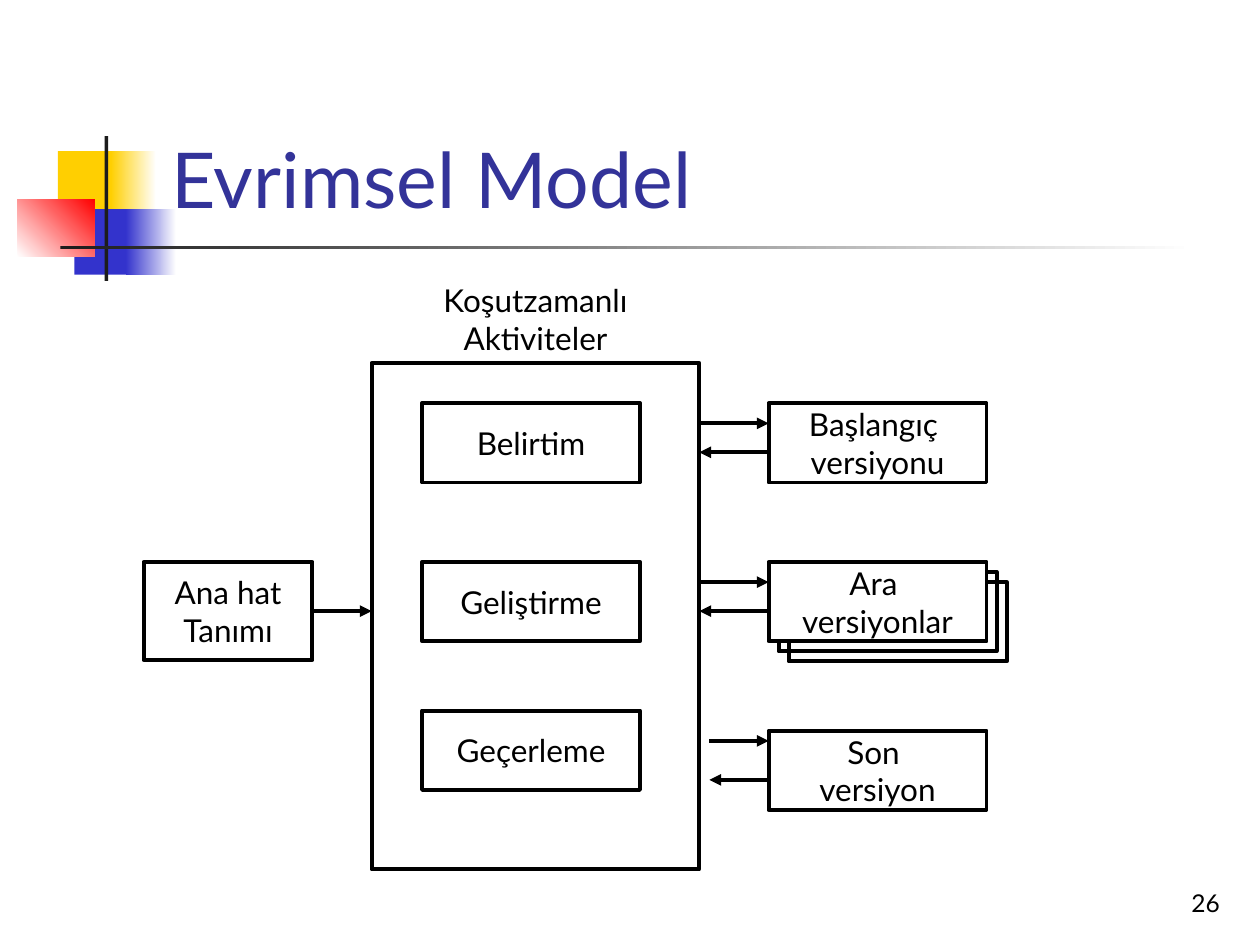
import pptx
import pptx.util
import pptx.dml.color
import pptx.enum.shapes
import pptx.enum.text
import pptx.oxml

Inches = pptx.util.Inches
Pt = pptx.util.Pt
RGB = pptx.dml.color.RGBColor.from_string
ALIGN = pptx.enum.text.PP_ALIGN
ANCHOR = pptx.enum.text.MSO_ANCHOR
DRAWING = 'xmlns:a="http://schemas.openxmlformats.org/drawingml/2006/main"'

theme = {
    "font": "Lato",
    "ink": "000000", "paper": "FFFFFF", "title": "333399",
    "yellow": "FFCF01", "blue": "3333CC", "red": "FF0000", "bar": "1C1C1C",
    "title_size": 44, "body_size": 18, "number_size": 14, "line": 2.25,
}


def add_box(place, colors=(), angle=0, outlined=False):
    box = page.shapes.add_shape(
        pptx.enum.shapes.MSO_SHAPE.RECTANGLE, *[Inches(value) for value in place])
    box.shadow.inherit = False
    if len(colors) == 2:
        box.fill.gradient()
        box.fill.gradient_angle = angle
        for stop, color, position in zip(box.fill.gradient_stops, colors, (0, 1)):
            stop.color.rgb = RGB(theme[color])
            stop.position = position
    elif colors:
        box.fill.solid()
        box.fill.fore_color.rgb = RGB(theme[colors[0]])
    else:
        box.fill.background()
    if outlined:
        box.line.color.rgb = RGB(theme["ink"])
        box.line.width = Pt(theme["line"])
    else:
        box.line.fill.background()
    return box


def write(box, lines, size="body_size", color="ink", align=ALIGN.CENTER,
          anchor=ANCHOR.MIDDLE, wrap=False):
    frame = box.text_frame
    frame.word_wrap = wrap
    frame.vertical_anchor = anchor
    for index, line in enumerate(lines):
        para = frame.add_paragraph() if index else frame.paragraphs[0]
        para.alignment = align
        span = para.add_run()
        span.text = line
        style = {"name": theme["font"], "size": Pt(theme[size])}
        for name, value in style.items():
            setattr(span.font, name, value)
        span.font.color.rgb = RGB(theme[color])


deck = pptx.Presentation()
deck.slide_width, deck.slide_height = Inches(10), Inches(7.5)
page = deck.slides.add_slide(deck.slide_layouts[6])

ornaments = [
    ((0.46, 1.2, 0.48, 0.52), ["yellow"], 0),
    ((0.88, 1.2, 0.36, 0.52), ["yellow", "paper"], 0),
    ((0.59, 1.66, 0.46, 0.52), ["blue"], 0),
    ((1, 1.66, 0.4, 0.52), ["blue", "paper"], 0),
    ((0.14, 1.58, 0.61, 0.46), ["paper", "red"], 45),
    ((0.83, 1.08, 0.03, 1.15), ["bar"], 0),
    ((0.48, 1.95, 9, 0.03), ["bar", "paper"], 0),
]
for place, colors, angle in ornaments:
    add_box(place, colors, angle)

texts = [
    ((7.7, 6.83, 2.08, 0.5), "26",
     {"size": "number_size", "align": ALIGN.RIGHT, "anchor": ANCHOR.BOTTOM}),
    ((1.26, 0.23, 8.52, 1.6), "Evrimsel Model",
     {"size": "title_size", "color": "title", "align": ALIGN.LEFT,
      "anchor": ANCHOR.BOTTOM}),
    ((3.11, 2.18, 2.28, 0.7), "Koşutzamanlı Aktiviteler", {"anchor": ANCHOR.TOP}),
]
for place, words, style in texts:
    box = page.shapes.add_textbox(*[Inches(value) for value in place])
    write(box, [words], wrap=True, **style)

width, height = 1.73, 0.63
activity_left, version_left = 3.35, 6.1
row_tops = [3.2, 4.46, 5.64]
final_top = 5.8

for step in (2, 1):
    offset = 0.08 * step
    add_box((version_left + offset, row_tops[1] + offset, width, height), outlined=True)

outline_box = add_box((1.14, row_tops[1], 1.34, 0.78), outlined=True)
write(outline_box, ["Ana hat", "Tanımı"])

for top, activity in zip(row_tops, ["Belirtim", "Geliştirme", "Geçerleme"]):
    write(add_box((activity_left, top, width, height), outlined=True), [activity])

add_box((2.95, 2.88, 2.6, 4.02), outlined=True)

versions = [
    (row_tops[0], [], ["Başlangıç ", "versiyonu"]),
    (row_tops[1], ["paper"], ["Ara ", "versiyonlar"]),
    (final_top, [], ["Son ", "versiyon"]),
]
for top, colors, lines in versions:
    write(add_box((version_left, top, width, height), colors, outlined=True), lines)

arrows = [(2.48, 2.95, 4.85, outline_box)]
for left, forward, back in [(5.55, 3.36, 3.59), (5.55, 4.62, 4.85), (5.63, 5.88, 6.19)]:
    arrows.append((left, version_left, forward, None))
    arrows.append((version_left, left, back, None))

for start, end, level, source in arrows:
    arrow = page.shapes.add_connector(
        pptx.enum.shapes.MSO_CONNECTOR.STRAIGHT,
        Inches(start), Inches(level), Inches(end), Inches(level))
    if source is not None:
        arrow.begin_connect(source, 3)
    arrow.line.color.rgb = RGB(theme["ink"])
    arrow.line.width = Pt(theme["line"])
    arrow.line._get_or_add_ln().append(
        pptx.oxml.parse_xml(f'<a:tailEnd {DRAWING} type="triangle"/>'))
    arrow._element.spPr.append(pptx.oxml.parse_xml(f"<a:effectLst {DRAWING}/>"))

deck.save("out.pptx")
